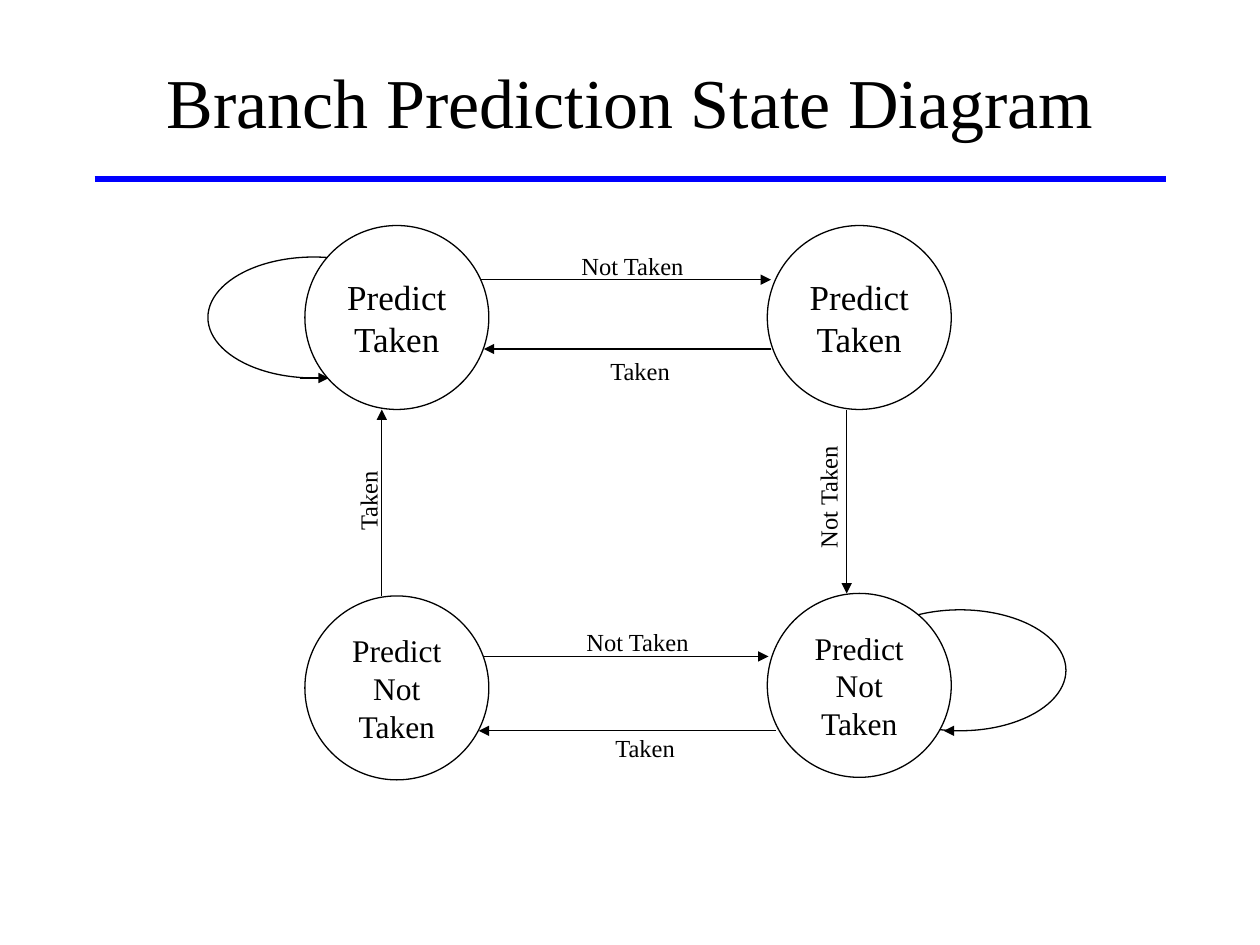
from dataclasses import dataclass

import pptx
import pptx.dml.color
import pptx.enum.shapes
import pptx.enum.text
import pptx.oxml.ns
import pptx.util
from lxml import etree
from pptx.util import Inches


@dataclass(frozen=True)
class Theme:
    font: str = "Times New Roman"
    ink: str = "000000"
    paper: str = "FFFFFF"
    rule: str = "0000FF"
    title_size: int = 40
    label_size: int = 14
    line_width: float = 0.75
    rule_width: float = 3


@dataclass(frozen=True)
class State:
    left: float
    top: float
    lines: tuple[str, ...]
    size: int


@dataclass(frozen=True)
class Arrow:
    x1: float
    y1: float
    x2: float
    y2: float


@dataclass(frozen=True)
class Label:
    text: str
    left: float
    top: float
    rotation: int = 0


@dataclass(frozen=True)
class Loop:
    """Self-transition: an ellipse partly behind its state, ended by an arrow."""
    left: float
    top: float
    arrow: Arrow


THEME = Theme()
STATE_SIZE = 1.46
LOOP_WIDTH, LOOP_HEIGHT = 1.68, 0.96
LABEL_HEIGHT = 0.33
LABEL_WIDTHS = {"Taken": 0.68, "Not Taken": 1.02}
LEFT, RIGHT, TOP = 2.42, 6.09, 1.79
TAKEN = ("Predict", "Taken")
NOT_TAKEN = ("Predict", "Not", "Taken")

LOOPS = [
    Loop(6.78, 4.84, Arrow(7.72, 5.8, 7.49, 5.8)),
    Loop(1.65, 2.04, Arrow(2.38, 3, 2.61, 3)),
]
STATES = [
    State(LEFT, TOP, TAKEN, 20),
    State(RIGHT, TOP, TAKEN, 20),
    State(LEFT, 4.73, NOT_TAKEN, 18),
    State(RIGHT, 4.71, NOT_TAKEN, 18),
]
TRANSITIONS = [
    Arrow(3.82, 2.22, 6.12, 2.22),
    Arrow(6.12, 2.77, 3.84, 2.77),
    Arrow(3.84, 5.21, 6.1, 5.21),
    Arrow(6.16, 5.8, 3.8, 5.8),
    Arrow(3.03, 4.73, 3.03, 3.25),
    Arrow(6.72, 3.25, 6.72, 4.71),
]
LABELS = [
    Label("Not Taken", 4.51, 1.94),
    Label("Taken", 4.74, 2.78),
    Label("Taken", 2.58, 3.81, 270),
    Label("Not Taken", 6.06, 3.78, 270),
    Label("Not Taken", 4.55, 4.93),
    Label("Taken", 4.78, 5.77),
]


def rgb(value: str) -> pptx.dml.color.RGBColor:
    return pptx.dml.color.RGBColor.from_string(value)


def write(tf, lines: tuple[str, ...], size: int, wrap: bool = False) -> None:
    tf.word_wrap = wrap
    tf.vertical_anchor = pptx.enum.text.MSO_ANCHOR.MIDDLE
    for i, line in enumerate(lines):
        p = tf.paragraphs[0] if i == 0 else tf.add_paragraph()
        p.text = line
        p.alignment = pptx.enum.text.PP_ALIGN.CENTER
        p.font.name = THEME.font
        p.font.size = pptx.util.Pt(size)
        p.font.color.rgb = rgb(THEME.ink)


def add_line(s, line: Arrow, color: str, width: float, head: bool = False) -> None:
    c = s.shapes.add_connector(
        pptx.enum.shapes.MSO_CONNECTOR.STRAIGHT,
        Inches(line.x1), Inches(line.y1), Inches(line.x2), Inches(line.y2))
    c.line.color.rgb = rgb(color)
    c.line.width = pptx.util.Pt(width)
    qn = pptx.oxml.ns.qn
    if head:
        etree.SubElement(c.line._get_or_add_ln(), qn("a:tailEnd"), type="triangle")
    etree.SubElement(c._element.spPr, qn("a:effectLst"))


def add_arrow(s, arrow: Arrow) -> None:
    add_line(s, arrow, THEME.ink, THEME.line_width, head=True)


def add_ellipse(s, left: float, top: float, width: float, height: float):
    sp = s.shapes.add_shape(
        pptx.enum.shapes.MSO_SHAPE.OVAL,
        Inches(left), Inches(top), Inches(width), Inches(height))
    sp.shadow.inherit = False
    sp.fill.solid()
    sp.fill.fore_color.rgb = rgb(THEME.paper)
    sp.line.color.rgb = rgb(THEME.ink)
    sp.line.width = pptx.util.Pt(THEME.line_width)
    return sp


def add_loop(s, loop: Loop) -> None:
    add_ellipse(s, loop.left, loop.top, LOOP_WIDTH, LOOP_HEIGHT)
    add_arrow(s, loop.arrow)


def add_state(s, state: State) -> None:
    sp = add_ellipse(s, state.left, state.top, STATE_SIZE, STATE_SIZE)
    write(sp.text_frame, state.lines, state.size)


def add_label(s, label: Label) -> None:
    sp = s.shapes.add_textbox(
        Inches(label.left), Inches(label.top),
        Inches(LABEL_WIDTHS[label.text]), Inches(LABEL_HEIGHT))
    sp.rotation = label.rotation
    write(sp.text_frame, (label.text,), THEME.label_size)
    sp.text_frame.auto_size = pptx.enum.text.MSO_AUTO_SIZE.SHAPE_TO_FIT_TEXT


def add_title(s, text: str) -> None:
    add_line(s, Arrow(0.75, 1.42, 9.25, 1.42), THEME.rule, THEME.rule_width)
    sp = s.shapes.add_textbox(Inches(0.75), Inches(0.17), Inches(8.5), Inches(1.25))
    write(sp.text_frame, (text,), THEME.title_size, wrap=True)


def main() -> None:
    prs = pptx.Presentation()
    prs.slide_width, prs.slide_height = Inches(10), Inches(7.5)
    s = prs.slides.add_slide(prs.slide_layouts[6])
    add_title(s, "Branch Prediction State Diagram")
    for loop in LOOPS:
        add_loop(s, loop)
    for state in STATES:
        add_state(s, state)
    for arrow in TRANSITIONS:
        add_arrow(s, arrow)
    for label in LABELS:
        add_label(s, label)
    prs.save("out.pptx")


if __name__ == "__main__":
    main()
